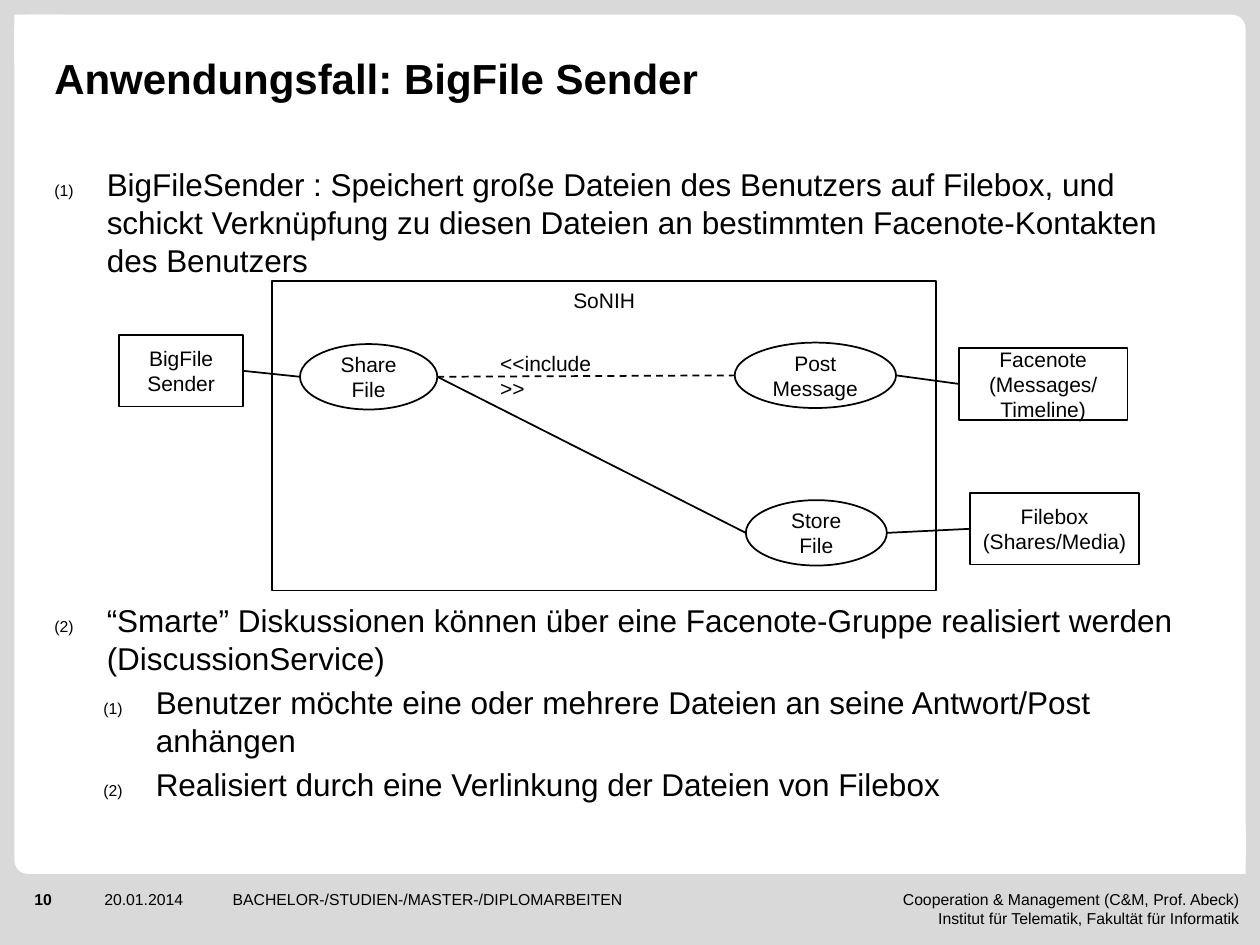
from dataclasses import dataclass

from lxml.etree import SubElement
from pptx import Presentation
from pptx.dml.color import RGBColor
from pptx.enum.dml import MSO_LINE
from pptx.enum.shapes import MSO_CONNECTOR, MSO_SHAPE
from pptx.enum.text import MSO_ANCHOR, MSO_AUTO_SIZE, PP_ALIGN
from pptx.oxml.ns import qn
from pptx.util import Pt


@dataclass(frozen=True)
class Theme:
    font: str = "Arial"
    ink: RGBColor = RGBColor(0, 0, 0)
    paper: RGBColor = RGBColor(0xFF, 0xFF, 0xFF)
    frame: RGBColor = RGBColor(0xD9, 0xD9, 0xD9)
    title: int = 24
    body: int = 18
    diagram: int = 12
    footer: int = 9


THEME = Theme()
RECT, OVAL = MSO_SHAPE.RECTANGLE, MSO_SHAPE.OVAL
LEFT, RIGHT = 1, 3  # connection sites of a rectangle


def write(frame, text, size, align=PP_ALIGN.LEFT, anchor=MSO_ANCHOR.TOP, bold=False):
    frame.text = text
    frame.word_wrap = True
    frame.auto_size = MSO_AUTO_SIZE.NONE
    frame.vertical_anchor = anchor
    for paragraph in frame.paragraphs:
        paragraph.alignment = align
        for run in paragraph.runs:
            run.font.name = THEME.font
            run.font.size = Pt(size)
            run.font.bold = bold
            run.font.color.rgb = THEME.ink


def remove_insets(frame):
    frame.margin_left = frame.margin_right = frame.margin_top = frame.margin_bottom = 0


def add_text(slide, box, text, size, **style):
    frame = slide.shapes.add_textbox(*map(Pt, box)).text_frame
    remove_insets(frame)
    write(frame, text, size, **style)
    return frame


def add_panel(slide, kind, box):
    panel = slide.shapes.add_shape(kind, *map(Pt, box))
    panel.shadow.inherit = False
    panel.fill.solid()
    panel.fill.fore_color.rgb = THEME.paper
    panel.line.fill.background()
    return panel


def add_title(slide, box, text):
    title = slide.shapes.title
    title.left, title.top, title.width, title.height = map(Pt, box)
    remove_insets(title.text_frame)
    write(title.text_frame, text, THEME.title, anchor=MSO_ANCHOR.MIDDLE, bold=True)
    # The title must lie in front of the white panel
    slide.shapes._spTree.append(title._element)


def number_paragraph(paragraph, level=0, start=1):
    paragraph.level = level
    paragraph.space_before = Pt(3.6 * level)
    properties = paragraph._p.get_or_add_pPr()
    properties.set("marL", str(Pt(30 + 28 * level)))
    properties.set("indent", str(Pt(-30)))
    bullet_color = SubElement(properties, qn("a:buClr"))
    SubElement(bullet_color, qn("a:srgbClr"), val=str(THEME.ink))
    SubElement(properties, qn("a:buSzPct"), val="50000")
    SubElement(properties, qn("a:buFont"), typeface=THEME.font)
    SubElement(properties, qn("a:buAutoNum"), type="arabicParenBoth", startAt=str(start))


def add_node(slide, kind, box, text, anchor=MSO_ANCHOR.MIDDLE):
    node = slide.shapes.add_shape(kind, *map(Pt, box))
    node.shadow.inherit = False
    if kind == OVAL:
        node.fill.solid()
        node.fill.fore_color.rgb = THEME.paper
    else:
        node.fill.background()
    node.line.color.rgb = THEME.ink
    node.line.width = Pt(1)
    write(node.text_frame, text, THEME.diagram, align=PP_ALIGN.CENTER, anchor=anchor)
    return node


def add_link(slide, source, target, dashed=False):
    """Line from the right side of source to the left side of target."""
    link = slide.shapes.add_connector(
        MSO_CONNECTOR.STRAIGHT,
        source.left + source.width, source.top + source.height // 2,
        target.left, target.top + target.height // 2)
    if source.auto_shape_type == RECT:
        link.begin_connect(source, RIGHT)
    if target.auto_shape_type == RECT:
        link.end_connect(target, LEFT)
    link.line.color.rgb = THEME.ink
    link.line.width = Pt(1)
    if dashed:
        link.line.dash_style = MSO_LINE.DASH
    SubElement(link._element.spPr, qn("a:effectLst"))


def add_use_cases(slide):
    add_node(slide, RECT, (155.5, 160.5, 379.5, 177), "SoNIH", MSO_ANCHOR.TOP)

    # Use cases
    share = add_node(slide, OVAL, (171.4, 196.6, 78.5, 37.4), "Share File")
    post = add_node(slide, OVAL, (419.8, 195.8, 92.2, 37.4), "Post Message")
    store = add_node(slide, OVAL, (426.2, 285.8, 80.6, 37.4), "Store\nFile")

    # Actors
    sender = add_node(slide, RECT, (68.2, 191.4, 70.6, 41), "BigFile\nSender")
    network = add_node(slide, RECT, (547.9, 198.9, 96.5, 41), "Facenote\n(Messages/Timeline)")
    storage = add_node(slide, RECT, (554.4, 281.7, 96.5, 41), "Filebox\n(Shares/Media)")

    # Associations
    for source, target in ((sender, share), (share, store), (post, network), (store, storage)):
        add_link(slide, source, target)
    add_link(slide, share, post, dashed=True)
    add_text(slide, (285.8, 200.2, 54, 28), "<<include>>", THEME.diagram)


def main():
    deck = Presentation()
    deck.slide_width, deck.slide_height = Pt(720), Pt(540)
    slide = deck.slides.add_slide(deck.slide_layouts[5])
    slide.background.fill.solid()
    slide.background.fill.fore_color.rgb = THEME.frame

    # White panel with two squared corners
    panel = add_panel(slide, MSO_SHAPE.ROUNDED_RECTANGLE, (8.2, 8.4, 703.6, 491))
    panel.adjustments[0] = 0.016
    for corner in ((8.2, 8.4), (683.8, 471.4)):
        add_panel(slide, RECT, (*corner, 28, 28))

    # Title and numbered text
    add_title(slide, (31, 30.2, 544.3, 28.8), "Anwendungsfall: BigFile Sender")
    sender_text = add_text(
        slide, (31, 94.5, 658, 66),
        "BigFileSender : Speichert große Dateien des Benutzers auf Filebox, und "
        "schickt Verknüpfung zu diesen Dateien an bestimmten Facenote-Kontakten "
        "des Benutzers", THEME.body)
    number_paragraph(sender_text.paragraphs[0])
    discussion = add_text(
        slide, (31, 343.5, 658, 134.5),
        "“Smarte” Diskussionen können über eine Facenote-Gruppe realisiert werden "
        "(DiscussionService)\n"
        "Benutzer möchte eine oder mehrere Dateien an seine Antwort/Post anhängen\n"
        "Realisiert durch eine Verlinkung der Dateien von Filebox", THEME.body)
    number_paragraph(discussion.paragraphs[0], start=2)
    for detail in discussion.paragraphs[1:]:
        number_paragraph(detail, level=1)

    # Use case diagram
    add_use_cases(slide)

    # Footer
    footer_top = 508.4
    add_text(slide, (19.6, footer_top, 26, 17.3), "10", THEME.footer, bold=True)
    add_text(slide, (59.6, footer_top, 64, 17.3), "20.01.2014", THEME.footer)
    add_text(slide, (133, footer_top, 329, 28), "BACHELOR-/STUDIEN-/MASTER-/DIPLOMARBEITEN",
             THEME.footer)
    add_text(slide, (471, footer_top, 237, 28),
             "Cooperation & Management (C&M, Prof. Abeck)\v"
             "Institut für Telematik, Fakultät für Informatik",
             THEME.footer, align=PP_ALIGN.RIGHT)

    deck.save("out.pptx")


if __name__ == "__main__":
    main()
